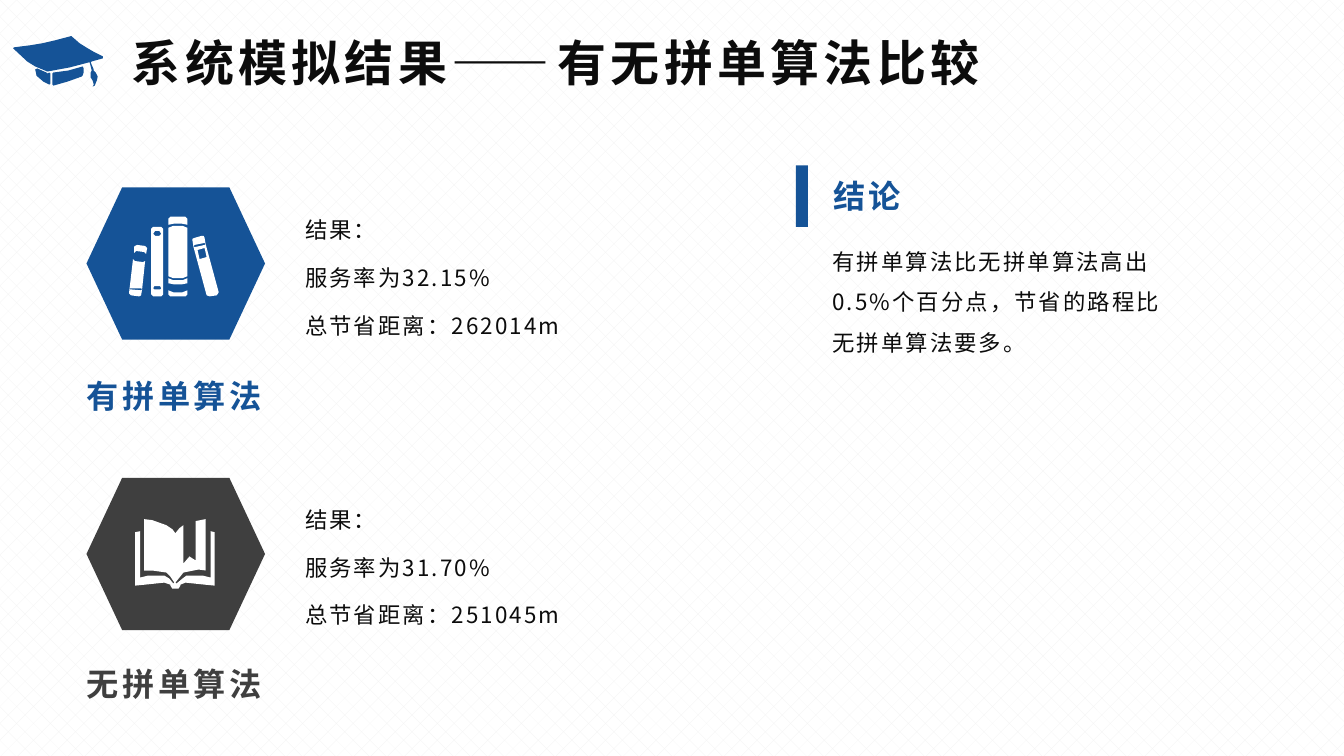
import pptx
import pptx.dml.color
import pptx.enum.dml
import pptx.enum.shapes
import pptx.enum.text
import pptx.oxml
import pptx.oxml.ns
import pptx.util
from pptx.util import Cm

FONT = "Noto Sans CJK SC"
COLORS = {"blue": "155397", "grey": "3F3F3F", "ink": "0C0C0C", "white": "FFFFFF", "weave": "F2F2F2"}

TITLE = "系统模拟结果——有无拼单算法比较"
CONCLUSION_HEADING = "结论"
CONCLUSION = "有拼单算法比无拼单算法高出0.5%个百分点，节省的路程比无拼单算法要多。"

# Icon outlines: closed contours in hundredths of an inch on the page.
CAP = [
    [(50, 83), (50, 73), (49, 72), (47, 73), (46, 72), (37, 68), (35, 69), (36, 74), (36, 75),
     (43, 81), (49, 84)],
    [(93, 69), (93, 70), (95, 72), (97, 76), (96.5, 80.5), (94, 85), (92.5, 86), (93, 84),
     (91.5, 80.5), (90, 77), (90, 73), (90, 72), (91, 70), (89, 62), (88, 62), (68.6, 67.2),
     (47, 71), (35.1, 65.6), (27, 61), (13, 48), (14, 47), (29.5, 45.4), (42, 43), (55.2, 40.1),
     (70, 36), (71, 36), (79.4, 42.8), (87, 48), (94.1, 52.4), (102, 56), (102, 58), (91, 61),
     (90, 62)],
    [(82, 66), (83, 68), (83, 72), (82, 75), (81, 76), (67, 81), (53, 85), (52, 84), (52, 73),
     (53, 72), (68, 69.8)],
]
BOOKS = [
    [(144, 244), (136, 243), (134, 243.5), (133, 245), (133, 251), (135, 249), (143, 250),
     (145, 252), (146, 246)],
    [(142, 260), (134, 259), (132, 257), (128, 291), (130, 293), (138, 294), (140, 293),
     (141, 287), (140, 288), (129, 287), (129, 286), (140, 286), (141, 287), (144, 259)],
    [(203, 241), (204, 242), (203, 236), (202, 234.5), (200, 234), (193, 236), (191, 237),
     (191, 239), (192, 245), (193, 243), (198, 241.6)],
    [(167, 226), (167, 274), (172, 275.5), (181, 275.5), (186, 274), (186, 226), (181, 224.5),
     (172, 224.5)],
    [(167, 276), (167, 281), (172, 282.5), (181, 282.5), (186, 281), (186, 276), (181, 277.5),
     (172, 277.5)],
    [(184, 215), (169, 215), (167, 217), (167, 223), (172, 221.5), (181, 221.5), (186, 223),
     (186, 217)],
    [(167, 288), (167, 292), (169, 294), (184, 294), (186, 292), (186, 288), (181, 289.5),
     (172, 289.5)],
    [(160, 225), (152, 225), (150, 227), (150, 292), (152, 294), (160, 294), (162, 292),
     (162, 227)],
    [(159, 287), (153, 287), (152, 286), (153, 284), (159, 284), (160, 286)],
    [(158, 234), (154, 234), (152, 232), (154, 229), (158, 229), (160, 232)],
    [(204, 242), (203, 243), (194, 245), (192, 245), (205, 293), (208, 294), (215, 293),
     (217, 290)],
    [(198, 257), (196, 248), (203, 246), (205, 255)],
]
OPEN_BOOK = [
    [(169, 580), (169, 581), (171, 583.5), (174, 584), (177, 583.5), (179, 581), (179, 580),
     (184, 578), (203, 579.5), (213, 581), (213, 528), (209, 527), (209, 573), (200.8, 570.9),
     (185, 571), (181, 573.5), (175, 579), (174, 578), (177.6, 573), (182, 568), (196.8, 565.3),
     (204, 566), (204, 515), (194, 517), (194, 556), (188, 552), (182, 559), (182, 521),
     (178, 524), (174, 529), (171.4, 524.8), (165, 521), (150.6, 516.5), (143, 515), (143, 566),
     (150.6, 565.5), (165, 568), (169, 571.5), (173, 578), (172, 579), (167.9, 574), (163, 571),
     (146.9, 570.9), (139, 573), (139, 527), (134, 528), (134, 581), (144, 579.5), (163, 578)],
]

# name, colour, icon, service rate, distance saved, tops of hexagon, label and results in cm
ALGORITHMS = [
    ("有拼单算法", "blue", BOOKS, "32.15%", "262014m", 4.72, 9.37, 5.31),
    ("无拼单算法", "grey", OPEN_BOOK, "31.70%", "251045m", 12.04, 16.61, 12.6),
]


def rgb(color):
    return pptx.dml.color.RGBColor.from_string(COLORS[color])


def paint(shape, color):
    shape.shadow.inherit = False
    shape.fill.solid()
    shape.fill.fore_color.rgb = rgb(color)
    shape.line.fill.background()


def add_block(page, preset, left, top, width, height, color):
    shape = page.shapes.add_shape(preset, Cm(left), Cm(top), Cm(width), Cm(height))
    paint(shape, color)


def add_icon(page, contours, color):
    builder = page.shapes.build_freeform(*contours[0][0], scale=Cm(2.54) / 100)
    for number, contour in enumerate(contours):
        if number:
            builder.move_to(*contour[0])
        builder.add_line_segments(contour[1:], close=True)
    paint(builder.convert_to_shape(), color)


def write(box, lines, size, color, spacing, bold=False, align="LEFT", after=0, leading=1.0):
    """Fill a box with paragraphs; spacing is the gap between letters in points."""
    frame = box.text_frame
    frame.text = "\n".join(lines)
    for para in frame.paragraphs:
        para.alignment = getattr(pptx.enum.text.PP_ALIGN, align)
        para.space_after = pptx.util.Pt(after)
        para.line_spacing = leading
        font = para.font
        font.name, font.bold, font.size = FONT, bold, pptx.util.Pt(size)
        font.color.rgb = rgb(color)
        props = para._p.pPr.find(pptx.oxml.ns.qn("a:defRPr"))
        props.set("spc", str(round(spacing * 100)))
        east_asian = pptx.oxml.parse_xml(f'<a:ea {pptx.oxml.ns.nsdecls("a")} typeface="{FONT}"/>')
        props.find(pptx.oxml.ns.qn("a:latin")).addnext(east_asian)


def add_text(page, left, top, width, height, wrap=True, middle=False):
    box = page.shapes.add_textbox(Cm(left), Cm(top), Cm(width), Cm(height))
    box.text_frame.word_wrap = wrap
    if middle:
        box.text_frame.vertical_anchor = pptx.enum.text.MSO_ANCHOR.MIDDLE
    return box


def main():
    deck = pptx.Presentation()
    deck.slide_width, deck.slide_height = Cm(33.87), Cm(19.05)
    page = deck.slides.add_slide(deck.slide_layouts[5])

    backdrop = page.background.fill
    backdrop.patterned()
    backdrop.pattern = pptx.enum.dml.MSO_PATTERN.DIAGONAL_BRICK
    backdrop.fore_color.rgb = rgb("weave")
    backdrop.back_color.rgb = rgb("white")

    title = page.shapes.title
    title.left, title.top, title.width, title.height = Cm(3.07), Cm(0.69), Cm(24.26), Cm(1.75)
    title.text_frame.vertical_anchor = pptx.enum.text.MSO_ANCHOR.MIDDLE
    title.text_frame.auto_size = pptx.enum.text.MSO_AUTO_SIZE.NONE
    write(title, [TITLE], 35, "ink", 3, bold=True)
    add_icon(page, CAP, "blue")

    presets = pptx.enum.shapes.MSO_SHAPE
    for name, color, icon, rate, saved, hexagon_top, label_top, results_top in ALGORITHMS:
        add_block(page, presets.FLOWCHART_PREPARATION, 2.18, hexagon_top, 4.5, 3.84, color)
        add_icon(page, icon, "white")
        label = add_text(page, 1.9, label_top, 5, 1.24, wrap=False)
        write(label, [name], 23, color, 2.5, bold=True, align="CENTER")
        results = add_text(page, 7.44, results_top, 10.57, 3.38, middle=True)
        lines = ["结果：", f"服务率为{rate}", f"总节省距离：{saved}"]
        write(results, lines, 16, "ink", 1.5, after=15)

    add_block(page, presets.RECTANGLE, 20.06, 4.17, 0.3, 1.55, "blue")
    heading = add_text(page, 20.75, 4.32, 2.31, 1.24, wrap=False)
    write(heading, [CONCLUSION_HEADING], 23, "blue", 2.5, bold=True)
    conclusion = add_text(page, 20.73, 5.79, 9.09, 3.33)
    write(conclusion, [CONCLUSION], 16, "ink", 1.5, leading=1.5)

    deck.save("out.pptx")


if __name__ == "__main__":
    main()
